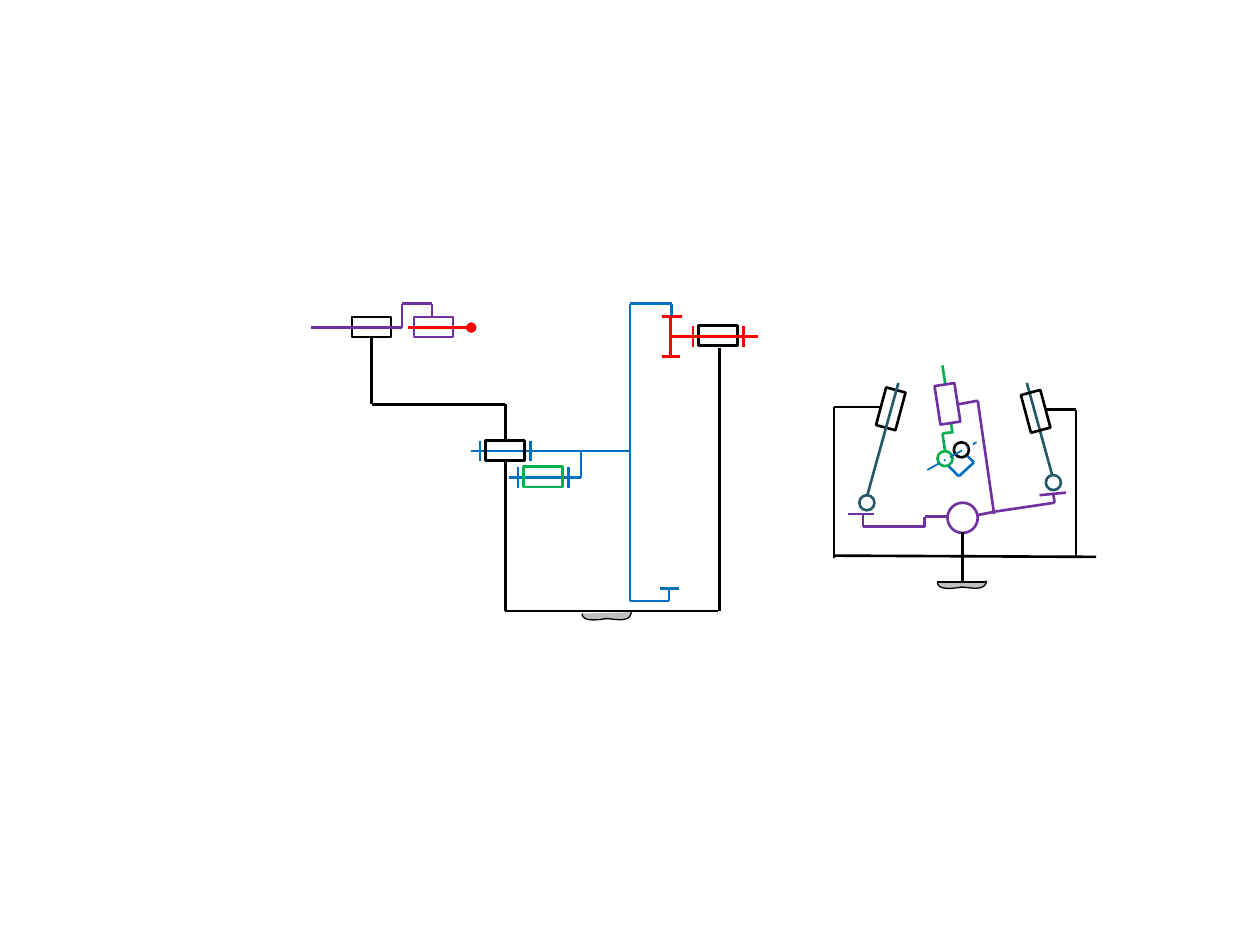
from typing import NamedTuple, Optional

from lxml import etree
from pptx import Presentation
from pptx import util as u
from pptx.dml.color import RGBColor
from pptx.enum import dml, shapes
from pptx.oxml.ns import qn

PX = 9144  # one px is a hundredth of an inch

BLACK, WHITE, GREY = "000000", "FFFFFF", "BFBFBF"
RED, GREEN, BLUE = "FF0000", "00B050", "0070C0"
PURPLE, TEAL = "7030A0", "215968"
BEARING_SIZE = (16, 31)


class Link(NamedTuple):
    """A chain of straight bars through the given points."""
    color: str
    points: list
    width: float = 1.5
    dash: Optional[int] = None
    dot_end: bool = False


class Bearing(NamedTuple):
    left: int
    top: int
    rotation: float
    color: str
    fill: Optional[str] = None


class Joint(NamedTuple):
    left: int
    top: int
    color: str
    size: int = 12
    fill: Optional[str] = None


class Ground(NamedTuple):
    left: int
    top: int


def rgb(color: str) -> RGBColor:
    return RGBColor.from_string(color)


def style_shape(shape, color: str, fill: Optional[str], width: float) -> None:
    shape.shadow.inherit = False
    if fill:
        shape.fill.solid()
        shape.fill.fore_color.rgb = rgb(fill)
    else:
        shape.fill.background()
    shape.line.color.rgb = rgb(color)
    shape.line.width = u.Pt(width)


def draw_link(slide, link: Link) -> None:
    for start, end in zip(link.points, link.points[1:]):
        connector = slide.shapes.add_connector(
            shapes.MSO_CONNECTOR.STRAIGHT, *(value * PX for value in start + end))
        connector.line.color.rgb = rgb(link.color)
        connector.line.width = u.Pt(link.width)
        if link.dash:
            connector.line.dash_style = link.dash
        properties = connector._element.spPr
        if link.dot_end:
            etree.SubElement(properties.find(qn("a:ln")), qn("a:tailEnd"), type="oval")
        etree.SubElement(properties, qn("a:effectLst"))


def draw_bearing(slide, bearing: Bearing) -> None:
    width, height = BEARING_SIZE
    shape = slide.shapes.add_shape(
        shapes.MSO_SHAPE.RECTANGLE, bearing.left * PX, bearing.top * PX,
        width * PX, height * PX)
    shape.rotation = bearing.rotation
    style_shape(shape, bearing.color, bearing.fill, 1.5)


def draw_joint(slide, joint: Joint) -> None:
    shape = slide.shapes.add_shape(
        shapes.MSO_SHAPE.OVAL, joint.left * PX, joint.top * PX,
        joint.size * PX, joint.size * PX)
    style_shape(shape, joint.color, joint.fill, 1.5)


def curve(a, b, c, d, steps: int = 12) -> list:
    """Points on a cubic Bezier curve, without its start."""
    return [tuple((1 - t) ** 3 * p + 3 * (1 - t) ** 2 * t * q
                  + 3 * (1 - t) * t ** 2 * r + t ** 3 * s
                  for p, q, r, s in zip(a, b, c, d))
            for t in (step / steps for step in range(1, steps + 1))]


def draw_ground(slide, ground: Ground) -> None:
    outline = [(0, 1)]
    outline += curve((0, 1), (0, 8), (13, 6), (19, 5))
    outline += curve((19, 5), (25, 5), (38, 9), (39, 0))
    points = [((ground.left + x) * PX, (ground.top + y) * PX) for x, y in outline]
    builder = slide.shapes.build_freeform(*points[0])
    builder.add_line_segments(points[1:], close=False)
    style_shape(builder.convert_to_shape(), BLACK, GREY, 0.75)


def stops(color: str, x_positions: tuple, y: int) -> list:
    """Short upright collars on a horizontal shaft."""
    return [Link(color, [(x, y + 8), (x, y - 8)]) for x in x_positions]


RIGHT_MECHANISM = [
    # Central slider, pivot and ground
    Link(GREEN, [(748, 290), (756, 344)]),
    Bearing(744, 305, 351.2, PURPLE, WHITE),
    Ground(744, 461),
    Joint(752, 399, PURPLE, size=24),
    Link(BLACK, [(764, 462), (764, 422)]),
    Link(BLACK, [(783, 462), (744, 462)]),
    Joint(744, 358, GREEN),
    Joint(757, 351, BLACK),
    Link(BLUE, [(768, 362), (773, 367), (761, 378), (753, 370)]),
    # Rocker arms
    Link(PURPLE, [(760, 321), (776, 318), (789, 408)]),
    Link(TEAL, [(837, 384), (815, 304)]),
    Link(PURPLE, [(775, 409), (790, 406), (837, 399), (836, 392)]),
    Link(GREEN, [(756, 343), (748, 344), (750, 358)]),
    Link(PURPLE, [(825, 393), (846, 391)]),
    Link(PURPLE, [(673, 408), (694, 408)]),
    Link(PURPLE, [(685, 408), (685, 418), (734, 418), (734, 410), (752, 410)]),
    # Side plungers
    Bearing(699, 309, 15, BLACK),
    Bearing(814, 311, 345, BLACK),
    Joint(830, 377, TEAL, fill=WHITE),
    Link(TEAL, [(687, 398), (713, 304)]),
    Joint(682, 393, TEAL, fill=WHITE),
    # Frame and tilted axis
    Link(BLACK, [(662, 441), (870, 442)]),
    Link(BLACK, [(829, 325), (854, 325), (854, 441)]),
    Link(BLACK, [(700, 323), (662, 323), (662, 443)]),
    Link(BLUE, [(736, 373), (775, 351)], 1, dml.MSO_LINE.LONG_DASH_DOT),
]

LEFT_MECHANISM = [
    Ground(462, 486),
    # Output shaft with its wheel
    Bearing(562, 251, 90, BLACK),
    Link(RED, [(531, 267), (602, 267)]),
    *stops(RED, (550, 590), 267),
    Link(RED, [(532, 283), (532, 251)]),
    Link(RED, [(525, 251), (541, 251)]),
    Link(RED, [(525, 283), (540, 283)]),
    # Ring gear carrier
    Link(BLUE, [(533, 251), (533, 241), (500, 241), (500, 477), (531, 477), (531, 467)]),
    Link(BLUE, [(524, 467), (539, 467)]),
    # Carrier shaft and offset shaft
    Link(BLUE, [(374, 358), (500, 358)]),
    Bearing(393, 342, 90, BLACK),
    *stops(BLUE, (381, 421), 358),
    Link(BLUE, [(404, 379), (461, 379), (461, 358)]),
    Bearing(423, 363, 90, GREEN),
    *stops(BLUE, (411, 451), 379),
    # Frame
    Link(BLACK, [(571, 276), (571, 485)]),
    Link(BLACK, [(401, 365), (401, 485), (570, 485)]),
    # Input slider
    Bearing(287, 244, 270, BLACK),
    Link(PURPLE, [(247, 260), (319, 260)]),
    Link(BLACK, [(295, 268), (295, 321), (401, 321), (401, 350)]),
    Bearing(336, 244, 270, PURPLE),
    Link(PURPLE, [(319, 260), (319, 241), (343, 241), (343, 252)]),
    Link(RED, [(324, 260), (374, 260)], dot_end=True),
]

DRAW = {Link: draw_link, Bearing: draw_bearing, Joint: draw_joint, Ground: draw_ground}


def main() -> None:
    presentation = Presentation()
    presentation.slide_width, presentation.slide_height = 1000 * PX, 750 * PX
    slide = presentation.slides.add_slide(presentation.slide_layouts[6])
    for part in RIGHT_MECHANISM + LEFT_MECHANISM:
        DRAW[type(part)](slide, part)
    presentation.save("out.pptx")


if __name__ == "__main__":
    main()
